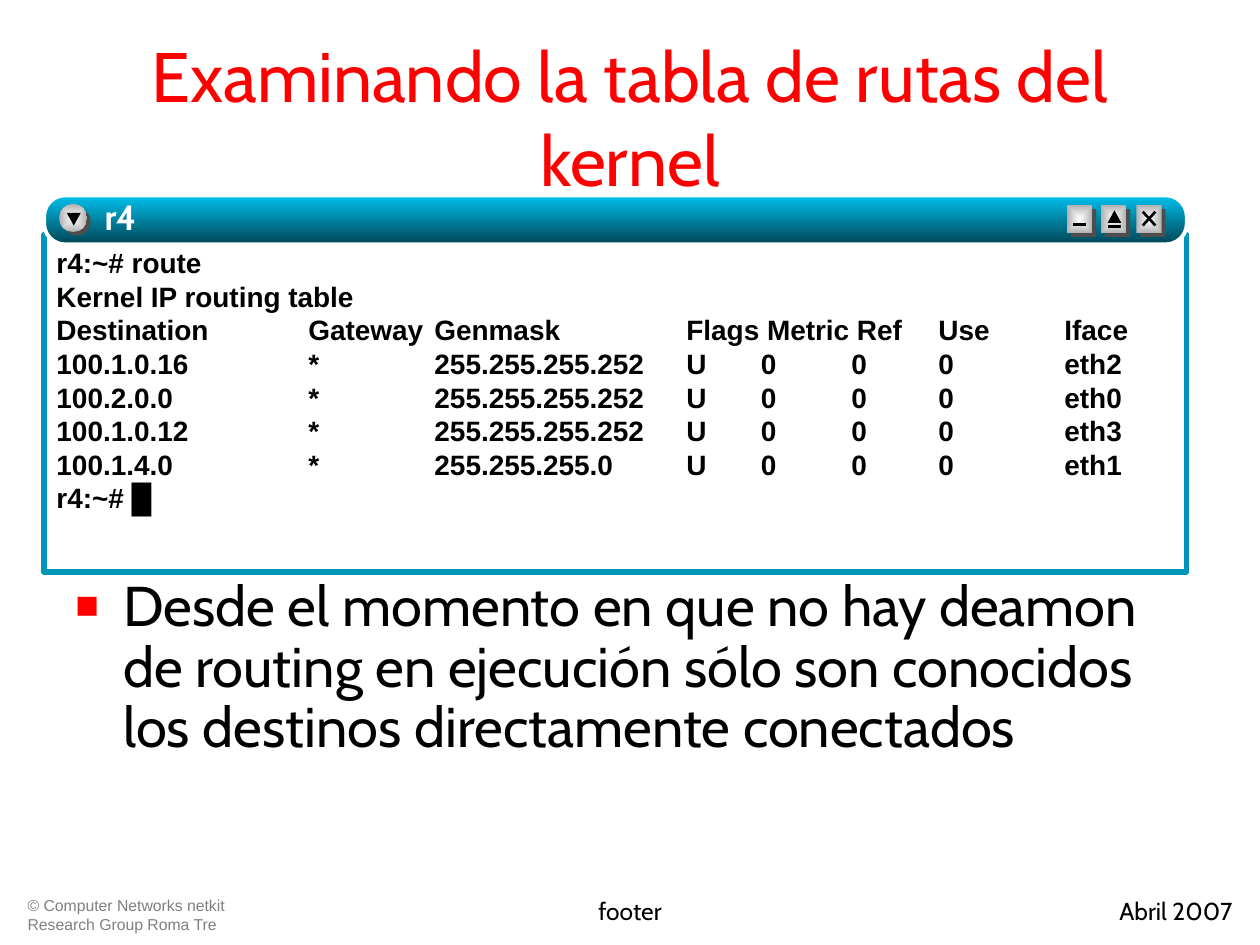
from lxml.etree import SubElement
from pptx import Presentation
from pptx.dml.color import RGBColor
from pptx.enum.shapes import MSO_CONNECTOR, MSO_SHAPE
from pptx.enum.text import MSO_ANCHOR, PP_ALIGN
from pptx.oxml import parse_xml
from pptx.oxml.ns import nsdecls, qn
from pptx.util import Inches, Pt


def color(code):
    return RGBColor.from_string(code)


def apply(target, values):
    for name, value in values.items():
        setattr(target, name, value)


class Deck:
    body = {"name": "Cabin", "size": Pt(32), "bold": False}
    title = {**body, "size": Pt(40)}
    foot = {**body, "size": Pt(14)}
    label = {**body, "size": Pt(20), "bold": True}
    mono = {"name": "Arial", "size": Pt(16), "bold": True}
    note = {"name": "Arial", "size": Pt(9), "bold": False}

    def __init__(self, slide):
        self.slide = slide

    def fill_text(self, shape, lines, font, ink="000000", align=PP_ALIGN.LEFT,
                  pad=(0.1, 0.05), anchor=MSO_ANCHOR.TOP):
        frame = shape.text_frame
        side, top = (Inches(n) for n in pad)
        apply(frame, {"word_wrap": True, "vertical_anchor": anchor,
                      "margin_left": side, "margin_right": side,
                      "margin_top": top, "margin_bottom": min(top, Inches(0.05))})
        frame.text = "\n".join(lines)
        for para in frame.paragraphs:
            para.alignment = align
            for run in para.runs:
                apply(run.font, font)
                run.font.color.rgb = color(ink)
        return frame.paragraphs

    def text(self, box, lines, font, **style):
        shape = self.slide.shapes.add_textbox(*map(Inches, box))
        return self.fill_text(shape, lines, font, **style)

    def shape(self, kind, box, fill, line=None, width=1, center=False):
        shape = self.slide.shapes.add_shape(kind, *map(Inches, box))
        shape.shadow.inherit = False
        if isinstance(fill, tuple):
            shape.fill.gradient()
            shape.fill.gradient_angle = 270
            for stop, code, place in zip(shape.fill.gradient_stops, fill, (0, 1)):
                stop.color.rgb = color(code)
                stop.position = place
            if center:
                old = shape._element.spPr.find(qn("a:gradFill")).find(qn("a:lin"))
                new = parse_xml(f'<a:path {nsdecls("a")} path="rect"><a:fillToRect '
                                'l="50000" t="50000" r="50000" b="50000"/></a:path>')
                old.getparent().replace(old, new)
        else:
            shape.fill.solid()
            shape.fill.fore_color.rgb = color(fill)
        if line:
            shape.line.color.rgb = color(line)
            shape.line.width = Pt(width)
        else:
            shape.line.fill.background()
        return shape

    def button(self, kind, left, top, width):
        for shift, fill in ((0.03, "4D4D4D"), (0, ("FEFEFE", "B2B2B2"))):
            box = (left + shift, top + shift, width, 0.22)
            self.shape(kind, box, fill, center=True)

    def line(self, *ends):
        line = self.slide.shapes.add_connector(MSO_CONNECTOR.STRAIGHT, *map(Inches, ends))
        line.line.color.rgb = color("000000")
        line.line.width = Pt(1.5)
        SubElement(line._element.spPr, qn("a:effectLst"))

    def tabs(self, para, stops):
        tabs = SubElement(para._p.get_or_add_pPr(), qn("a:tabLst"))
        for stop in stops:
            SubElement(tabs, qn("a:tab"), pos=str(Inches(stop)), algn="l")

    def bullet(self, para, sign, ink, indent):
        props = para._p.get_or_add_pPr()
        props.set("marL", str(Inches(indent)))
        props.set("indent", str(-Inches(indent)))
        SubElement(SubElement(props, qn("a:buClr")), qn("a:srgbClr"), val=ink)
        SubElement(props, qn("a:buSzPct"), val="70000")
        SubElement(props, qn("a:buFont"), typeface="Arial")
        SubElement(props, qn("a:buChar"), char=sign)

    def shade(self, run):
        glow = parse_xml(f'<a:effectLst {nsdecls("a")}><a:outerShdw dist="25400" '
                         'dir="2700000"><a:srgbClr val="000000"/></a:outerShdw></a:effectLst>')
        run._r.rPr.find(qn("a:solidFill")).addnext(glow)


def main():
    show = Presentation()
    show.slide_width, show.slide_height = Inches(10), Inches(7.5)
    deck = Deck(show.slides.add_slide(show.slide_layouts[6]))

    deck.text((0.12, 7.06, 1.89, 0.36),
              ["© Computer Networks netkit", "Research Group Roma Tre"],
              deck.note, ink="808080")
    deck.text((0.5, 0.3, 9, 1.25), ["Examinando la tabla de rutas del kernel"],
              deck.title, ink="FF0000", align=PP_ALIGN.CENTER, anchor=MSO_ANCHOR.MIDDLE)
    point = deck.text((0.5, 4.54, 9, 2.16),
                      ["Desde el momento en que no hay deamon de routing en ejecución "
                       "sólo son conocidos los destinos directamente conectados"],
                      deck.body)[0]
    deck.bullet(point, "■", "FF0000", 0.38)
    point.line_spacing = 0.9

    routes = [("100.1.0.16", "255.255.255.252", "eth2"),
              ("100.2.0.0", "255.255.255.252", "eth0"),
              ("100.1.0.12", "255.255.255.252", "eth3"),
              ("100.1.4.0", "255.255.255.0", "eth1")]
    head = ["Destination", "Gateway", "Genmask", "Flags Metric Ref", "Use", "Iface"]
    rows = [[dest, "*", mask, "U", "0", "0", "0", face] for dest, mask, face in routes]
    lines = ["r4:~# route", "Kernel IP routing table",
             *("\t".join(row) for row in [head, *rows]), "r4:~# █"]
    window = deck.shape(MSO_SHAPE.RECTANGLE, (0.35, 1.86, 9.07, 2.68), "FFFFFF", "0095B8", 3)
    paras = deck.fill_text(window, lines, deck.mono, pad=(0.1, 0.09))
    deck.tabs(paras[2], (2, 3, 5, 7, 8))
    for para in paras[3:-1]:
        deck.tabs(para, (2, 3, 5, 5.59, 6.31, 7, 8))

    bar = deck.shape(MSO_SHAPE.ROUNDED_RECTANGLE, (0.35, 1.55, 9.07, 0.39),
                     ("00C1EE", "004555"), "FFFFFF", 2.25)
    bar.adjustments[0] = 0.43
    deck.button(MSO_SHAPE.OVAL, 0.47, 1.62, 0.22)
    for left in (8.47, 8.74, 9.02):
        deck.button(MSO_SHAPE.RECTANGLE, left, 1.63, 0.2)
    for ends in ((8.52, 1.78, 8.62, 1.78), (8.79, 1.8, 8.9, 1.8),
                 (9.07, 1.79, 9.17, 1.68), (9.07, 1.68, 9.17, 1.79)):
        deck.line(*ends)
    for left, top, turn in ((0.53, 1.69, 180), (8.79, 1.67, 0)):
        mark = deck.shape(MSO_SHAPE.ISOSCELES_TRIANGLE, (left, top, 0.11, 0.1), "000000")
        mark.rotation = turn
    name = deck.text((0.83, 1.55, 2.6, 0.39), ["r4"], deck.label, ink="FFFFFF", pad=(0, 0))
    deck.shade(name[0].runs[0])

    deck.text((2.56, 7.06, 4.88, 0.36), ["footer"], deck.foot, align=PP_ALIGN.CENTER)
    deck.text((7.6, 7.06, 2.28, 0.36), ["Abril 2007"], deck.foot, align=PP_ALIGN.RIGHT)
    show.save("out.pptx")


if __name__ == "__main__":
    main()
